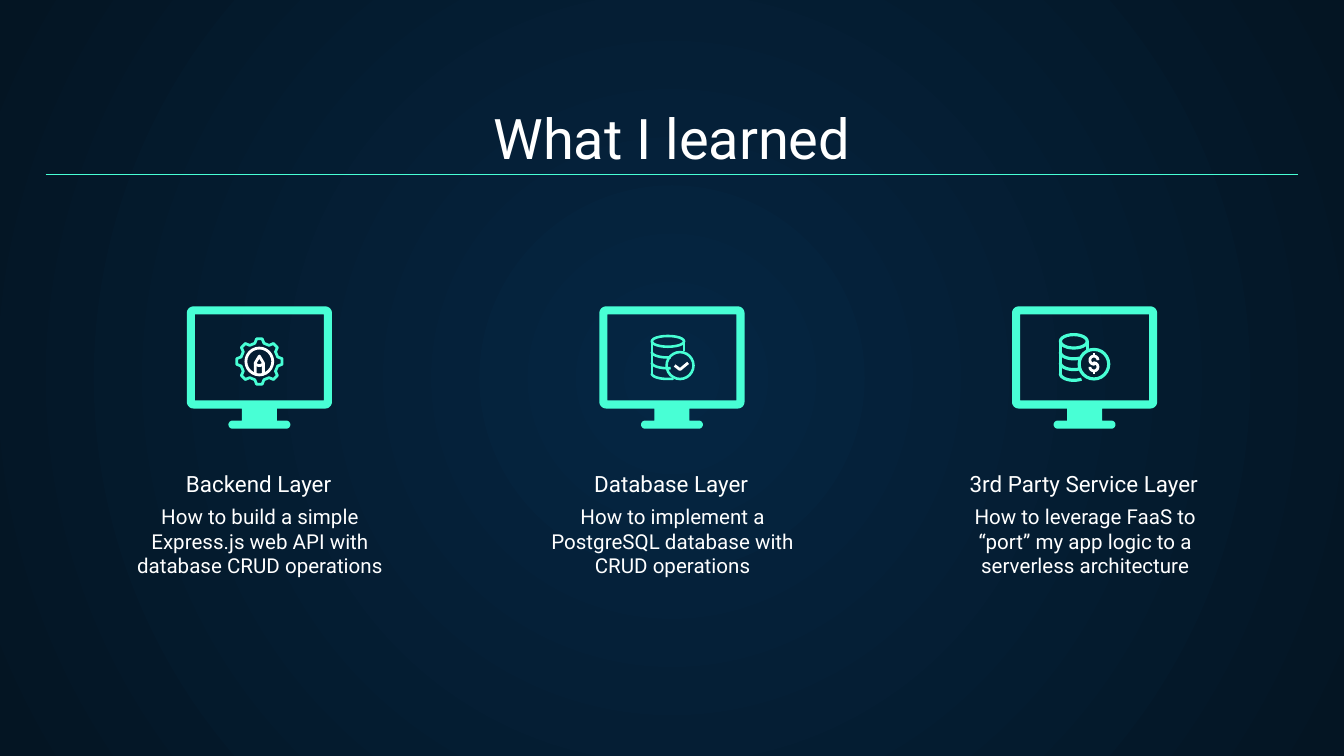
"""Build the "What I learned" slide with three layers of a web application."""
from math import cos, radians, sin

from lxml.etree import SubElement
from pptx import Presentation
from pptx.dml.color import RGBColor
from pptx.enum.shapes import MSO_CONNECTOR
from pptx.enum.text import MSO_ANCHOR, PP_ALIGN
from pptx.oxml.ns import qn
from pptx.util import Inches, Pt

color = RGBColor.from_string
MINT = "48FFD5"
WHITE = "FFFFFF"
PITCH = 3.07


def arc(x, y, radius_x, radius_y, start=0, stop=360):
    steps = 24
    angles = [radians(start + (stop - start) * step / steps) for step in range(steps + 1)]
    return [(x + radius_x * cos(angle), y + radius_y * sin(angle)) for angle in angles]


def draw(contours, tint, line_width=None):
    scaled = [[(Inches(x), Inches(y)) for x, y in contour] for contour in contours]
    builder = page.shapes.build_freeform(*scaled[0][0])
    for contour in scaled:
        builder.move_to(*contour[0])
        builder.add_line_segments(contour[1:], close=line_width is None)
    shape = builder.convert_to_shape()
    shape.shadow.inherit = False
    if line_width is None:
        shape.fill.solid()
        shape.fill.fore_color.rgb = color(tint)
        shape.line.fill.background()
    else:
        shape.fill.background()
        shape.line.color.rgb = color(tint)
        shape.line.width = Pt(line_width)


deck = Presentation()
deck.slide_width = Inches(10)
deck.slide_height = deck.slide_width * 9 // 16
page = deck.slides.add_slide(deck.slide_layouts[6])

backdrop = page.background.fill
backdrop.gradient()
for stop, tint in zip(backdrop.gradient_stops, ["052643", "041523"]):
    stop.color.rgb = color(tint)
gradient = page.element.find(".//" + qn("a:gradFill"))
gradient.remove(gradient.find(qn("a:lin")))
radial = SubElement(gradient, qn("a:path"), {"path": "circle"})
SubElement(radial, qn("a:fillToRect"), {side: "50000" for side in "ltrb"})

layers = [
    ("Backend Layer", "How to build a simple Express.js web API with database CRUD operations"),
    ("Database Layer", "How to implement a PostgreSQL database with CRUD operations"),
    ("3rd Party Service Layer",
     "How to leverage FaaS to “port” my app logic to a serverless architecture"),
]
texts = [("What I learned", 0.34, 0.71, 9.32, 0.66, 30, MSO_ANCHOR.BOTTOM)]
for column, (name, lesson) in enumerate(layers):
    shift = column * PITCH
    texts.append((lesson, 0.9 + shift, 3.65, 2.07, 0.55, 11, MSO_ANCHOR.TOP))
    texts.append((name, 0.79 + shift, 3.59, 2.27, 0.21, 12, MSO_ANCHOR.BOTTOM))

for text, left, top, width, height, size, anchor in texts:
    box = page.shapes.add_textbox(Inches(left), Inches(top), Inches(width), Inches(height))
    frame = box.text_frame
    frame.word_wrap = True
    frame.vertical_anchor = anchor
    frame.margin_left = frame.margin_right = Inches(0.1)
    frame.margin_top = frame.margin_bottom = Inches(0.1)
    para = frame.paragraphs[0]
    para.text = text
    para.alignment = PP_ALIGN.CENTER
    para.font.name = "Roboto"
    para.font.size = Pt(size)
    para.font.color.rgb = color(WHITE)

rule = page.shapes.add_connector(
    MSO_CONNECTOR.STRAIGHT, Inches(0.34), Inches(1.3), Inches(9.66), Inches(1.3))
rule.line.color.rgb = color(MINT)
rule.line.width = Pt(0.75)
SubElement(rule._element.spPr, qn("a:effectLst"))

for column in range(len(layers)):
    middle = 1.93 + column * PITCH
    left, right = middle - 0.49, middle + 0.49
    casing = (
        arc(left, 2.33, 0.05, 0.05, 180, 270)
        + arc(right, 2.33, 0.05, 0.05, 270, 360)
        + arc(right, 2.99, 0.05, 0.05, 0, 90)
        + [(middle + 0.13, 3.04), (middle + 0.13, 3.13)]
        + arc(middle + 0.2, 3.16, 0.03, 0.03, -90, 90)
        + arc(middle - 0.2, 3.16, 0.03, 0.03, 90, 270)
        + [(middle - 0.13, 3.13), (middle - 0.13, 3.04)]
        + arc(left, 2.99, 0.05, 0.05, 90, 180)
    )
    left, right = middle - 0.48, middle + 0.48
    screen = [(left, 2.34), (left, 2.98), (right, 2.98), (right, 2.34)]
    draw([casing, screen], MINT)

gear = []
for tooth in range(8):
    for offset, radius in [(-14, 0.14), (-7, 0.17), (7, 0.17), (14, 0.14)]:
        angle = radians(45 * tooth + offset)
        gear.append((1.93 + radius * cos(angle), 2.69 + radius * sin(angle)))
draw([gear + gear[:1]], MINT, 1.5)
nib = [(1.9, 2.78), (1.9, 2.7), (1.93, 2.65), (1.96, 2.7), (1.96, 2.78)]
draw([arc(1.93, 2.69, 0.1, 0.1), nib, arc(1.93, 2.7, 0.03, 0.02, 0, 180)], WHITE, 1.5)

databases = [
    (4.97, 2.54, 0.12, 0.04, 70, 5.06, 2.72, 0.1, 1.4),
    (7.99, 2.54, 0.1, 0.05, 55, 8.14, 2.71, 0.11, 1.7),
]
for x, top, radius_x, radius_y, cut, badge_x, badge_y, badge_radius, width in databases:
    left, right = x - radius_x, x + radius_x
    bands = [arc(x, top + 0.08 * band, radius_x, radius_y, 180, cut + 10 * (band < 3))
             for band in range(1, 4)]
    sides = [[(left, top), (left, top + 0.24)], [(right, top), (right, top + 0.07)]]
    badge = arc(badge_x, badge_y, badge_radius, badge_radius)
    draw([arc(x, top, radius_x, radius_y), *sides, *bands, badge], MINT, width)

draw([[(5.02, 2.72), (5.06, 2.75), (5.12, 2.7)]], WHITE, 1.5)
curve = arc(8.14, 2.68, 0.03, 0.03, 0, -270) + arc(8.14, 2.73, 0.03, 0.03, -90, 180)
draw([curve, [(8.14, 2.63), (8.14, 2.65)], [(8.14, 2.76), (8.14, 2.78)]], WHITE, 1.5)

deck.save("out.pptx")
